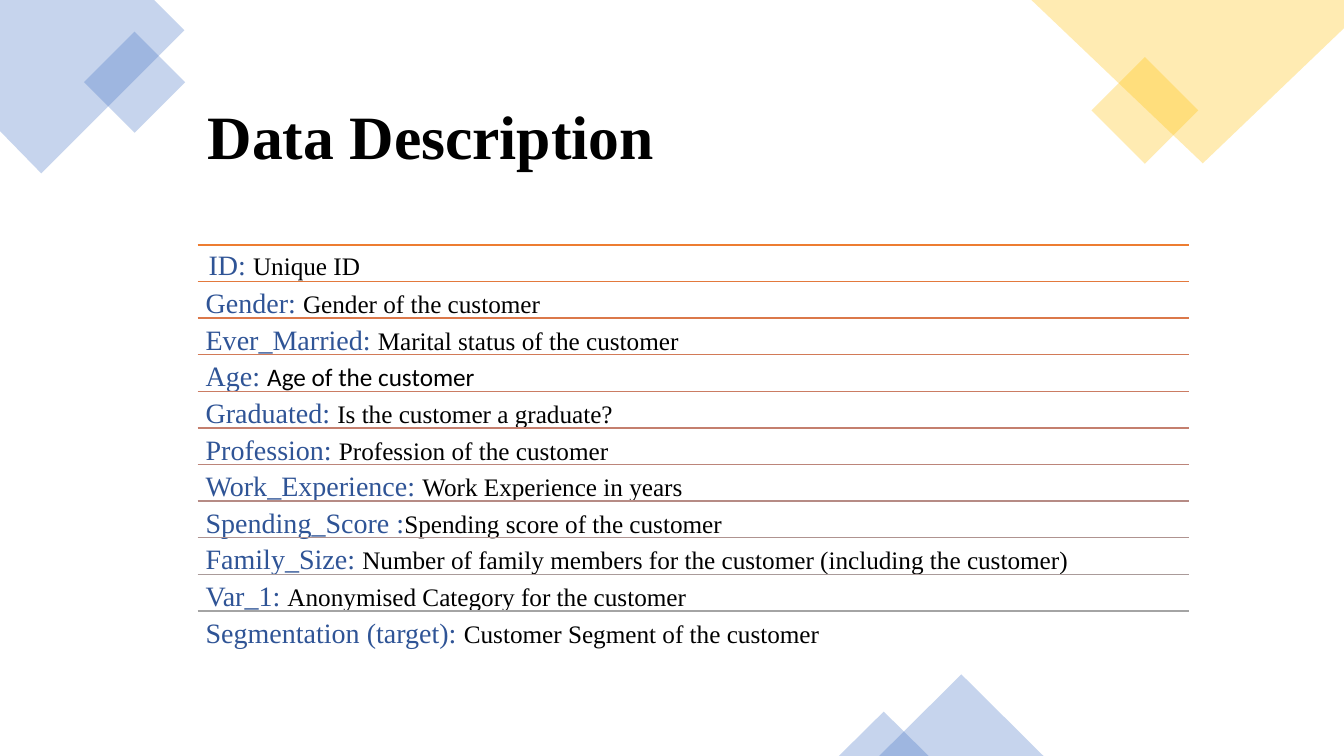
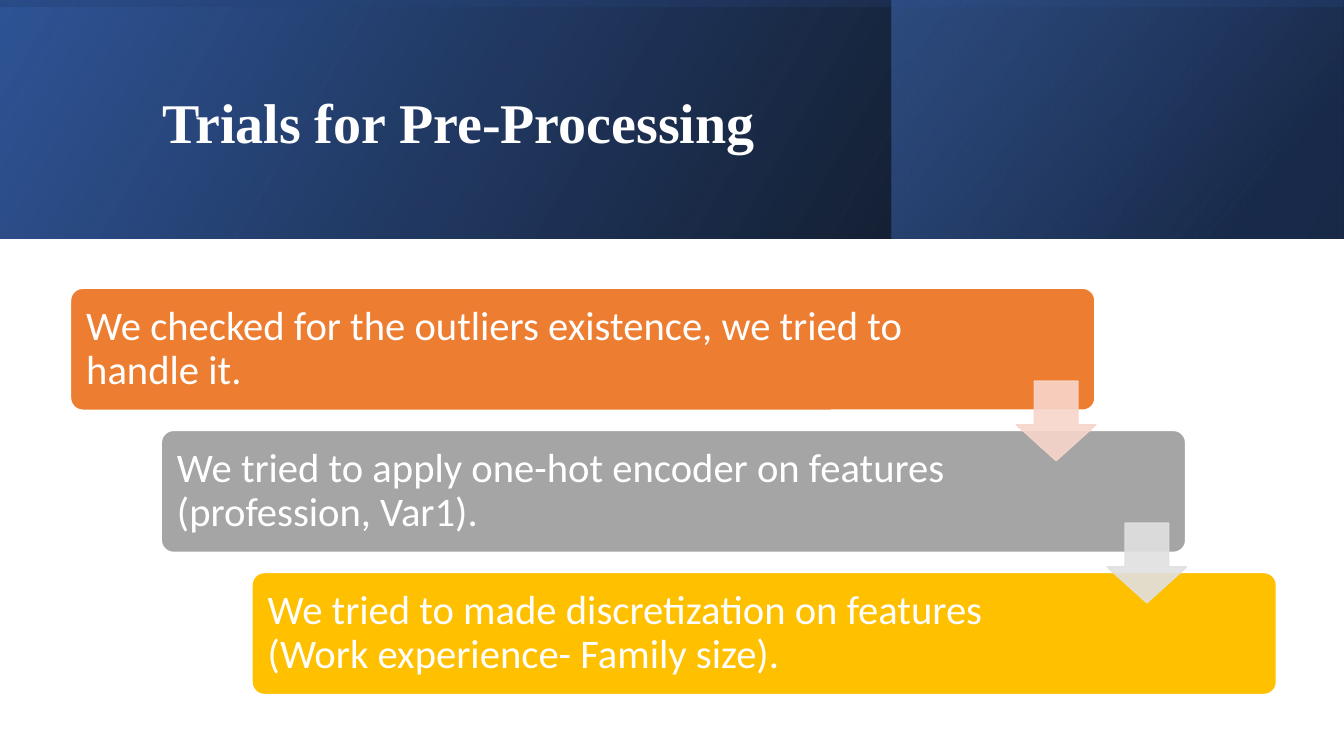
from lxml.etree import SubElement
from pptx import Presentation
from pptx.dml.color import RGBColor
from pptx.enum.shapes import MSO_CONNECTOR, MSO_SHAPE
from pptx.enum.text import MSO_ANCHOR, PP_ALIGN
from pptx.oxml.ns import qn
from pptx.util import Inches, Pt

BLACK = RGBColor(0x00, 0x00, 0x00)
WHITE = RGBColor(0xFF, 0xFF, 0xFF)
BLUE = RGBColor(0x44, 0x72, 0xC4)
DEEP_BLUE = RGBColor(0x2F, 0x54, 0x96)
NAVY = RGBColor(0x1F, 0x38, 0x64)
GOLD = RGBColor(0xFF, 0xC0, 0x00)
ORANGE = RGBColor(0xED, 0x7D, 0x31)
GREY = RGBColor(0xA5, 0xA5, 0xA5)
PALE_ORANGE = RGBColor(0xF7, 0xD5, 0xCB)
PALE_GREY = RGBColor(0xE0, 0xE0, 0xE0)
RULE_COLORS = [RGBColor.from_string(code) for code in (
    "ED7D31", "E3793D", "DB784A", "D27A57", "CB7C63", "C47F6E",
    "BC857A", "B68B85", "AF9390", "AA9B9A", "A4A4A4")]

SERIF = "Times New Roman"
SANS = "Calibri"

FIELDS = [
    ("ID: ", "Unique ID", SERIF),
    ("Gender: ", "Gender of the customer", SERIF),
    ("Ever_Married: ", "Marital status of the customer", SERIF),
    ("Age: ", "Age of the customer", SANS),
    ("Graduated: ", "Is the customer a graduate?", SERIF),
    ("Profession: ", "Profession of the customer", SERIF),
    ("Work_Experience: ", "Work Experience in years", SERIF),
    ("Spending_Score :", "Spending score of the customer", SERIF),
    ("Family_Size: ",
     "Number of family members for the customer (including the customer)", SERIF),
    ("Var_1: ", "Anonymised Category for the customer", SERIF),
    ("Segmentation (target): ", "Customer Segment of the customer", SERIF),
]

TRIALS = [
    ("We checked for the outliers existence, we tried to handle it.", ORANGE),
    ("We tried to apply one-hot encoder on features (profession, Var1).", GREY),
    ("We tried to made discretization on features "
     "(Work experience- Family size).", GOLD),
]


class Deck:
    def __init__(self):
        self.presentation = Presentation()
        self.presentation.slide_width = Inches(13.33)
        self.presentation.slide_height = Inches(7.5)
        self.slide = None

    def new_slide(self):
        blank = self.presentation.slide_layouts[6]
        self.slide = self.presentation.slides.add_slide(blank)

    def paint(self, shape, color, alpha=100, outline=None):
        """Give a shape a flat fill and outline, both with alpha in percent."""
        shape.shadow.inherit = False
        shape.fill.solid()
        shape.fill.fore_color.rgb = color
        if outline is None:
            shape.line.fill.background()
        else:
            shape.line.color.rgb = outline
            shape.line.width = Pt(1)
        if alpha < 100:
            for tint in shape._element.spPr.iter(qn("a:srgbClr")):
                SubElement(tint, qn("a:alpha"), val=str(alpha * 1000))

    def shape(self, preset, left, top, width, height, color,
              alpha=100, outline=None, rotation=0, adjustments=()):
        shape = self.slide.shapes.add_shape(
            preset, Inches(left), Inches(top), Inches(width), Inches(height))
        shape.rotation = rotation
        for index, value in enumerate(adjustments):
            shape.adjustments[index] = value
        self.paint(shape, color, alpha, outline)
        return shape

    def outline_shape(self, points, color, alpha):
        corners = [(Inches(x), Inches(y)) for x, y in points]
        builder = self.slide.shapes.build_freeform(*corners[0], scale=1.0)
        builder.add_line_segments(corners[1:], close=True)
        self.paint(builder.convert_to_shape(), color, alpha)

    def gradient_band(self, left, top, width, height, stops, angle, rotation=0):
        """Draw a mirrored rectangle; stops are (position, colour, alpha)."""
        band = self.shape(MSO_SHAPE.RECTANGLE, left, top, width, height,
                          BLACK, rotation=rotation)
        properties = band._element.spPr
        properties.find(qn("a:xfrm")).set("flipH", "1")
        solid = properties.find(qn("a:solidFill"))
        gradient = solid.makeelement(qn("a:gradFill"), {"rotWithShape": "1"})
        properties.replace(solid, gradient)
        stop_list = SubElement(gradient, qn("a:gsLst"))
        for position, color, alpha in stops:
            stop = SubElement(stop_list, qn("a:gs"), pos=str(position * 1000))
            tint = SubElement(stop, qn("a:srgbClr"), val=str(color))
            if alpha < 100:
                SubElement(tint, qn("a:alpha"), val=str(alpha * 1000))
        SubElement(gradient, qn("a:lin"), ang=str(angle * 60000), scaled="0")

    def rule(self, left, right, y, color):
        rule = self.slide.shapes.add_connector(
            MSO_CONNECTOR.STRAIGHT, Inches(left), Inches(y), Inches(right), Inches(y))
        rule.line.color.rgb = color
        rule.line.width = Pt(1)
        SubElement(rule._element.spPr, qn("a:effectLst"))

    def set_frame(self, shape, margins, anchor):
        """Apply wrapping, anchor and (left, top, right, bottom) margins."""
        frame = shape.text_frame
        frame.word_wrap = True
        frame.vertical_anchor = anchor
        (frame.margin_left, frame.margin_top,
         frame.margin_right, frame.margin_bottom) = map(Inches, margins)
        paragraph = frame.paragraphs[0]
        paragraph.alignment = PP_ALIGN.LEFT
        paragraph.line_spacing = 0.9
        return paragraph

    def style(self, font, name, size, color, bold=False):
        font.name = name
        font.size = Pt(size)
        font.color.rgb = color
        font.bold = bold

    def text_box(self, left, top, width, height, margins, anchor):
        box = self.slide.shapes.add_textbox(
            Inches(left), Inches(top), Inches(width), Inches(height))
        return self.set_frame(box, margins, anchor)

    def title(self, text, left, top, width, height, size, color):
        heading = self.text_box(left, top, width, height,
                                (0.1, 0.05, 0.1, 0.05), MSO_ANCHOR.MIDDLE)
        heading.text = text
        self.style(heading.font, SERIF, size, color, bold=True)

    def field(self, left, top, width, height, margins, name, meaning, meaning_font):
        line = self.text_box(left, top, width, height, margins, MSO_ANCHOR.TOP)
        for text, font, size, color in ((name, SERIF, 20, DEEP_BLUE),
                                        (meaning, meaning_font, 18, BLACK)):
            run = line.add_run()
            run.text = text
            self.style(run.font, font, size, color)

    def step(self, left, top, width, height, text, color):
        card = self.shape(MSO_SHAPE.ROUNDED_RECTANGLE, left, top, width, height,
                          color, outline=WHITE, adjustments=[0.1])
        paragraph = self.set_frame(card, (0.12, 0.12, 1.82, 0.12), MSO_ANCHOR.MIDDLE)
        paragraph.text = text
        self.style(paragraph.font, SANS, 29, WHITE)


def data_description(deck):
    deck.new_slide()
    deck.outline_shape([(1.53, 0), (0, 0), (0, 1.3), (0.41, 1.72), (1.83, 0.3)],
                       BLUE, 30)
    deck.shape(MSO_SHAPE.RECTANGLE, 0.98, 0.46, 0.71, 0.71, BLUE, 30, rotation=315)
    deck.shape(MSO_SHAPE.RECTANGLE, 10.98, 0.72, 0.75, 0.75, GOLD, 30, rotation=315)
    deck.outline_shape([(13.33, 0), (10.23, 0), (11.93, 1.62), (13.33, 0.28)],
                       GOLD, 30)
    deck.shape(MSO_SHAPE.ISOSCELES_TRIANGLE, 8.72, 6.69, 1.63, 0.81, BLUE, 30)
    deck.shape(MSO_SHAPE.ISOSCELES_TRIANGLE, 8.32, 7.06, 0.89, 0.44, BLUE, 30)
    deck.title("Data Description", 1.96, 0.68, 10.62, 1.4, 44, BLACK)

    left, width, first_top, last_top = 1.96, 9.83, 2.43, 6.06
    pitch = (last_top - first_top) / (len(FIELDS) - 1)
    for index, (field, color) in enumerate(zip(FIELDS, RULE_COLORS)):
        top = first_top + index * pitch
        margins = (0.08,) * 4 if index else (0.11, 0.06, 0.06, 0.06)
        deck.rule(left, left + width, top, color)
        deck.field(left, top, width, pitch, margins, *field)


def preprocessing_trials(deck):
    deck.new_slide()
    band_height = 2.37
    deck.gradient_band(0, 0, 13.33, band_height,
                       [(0, BLACK, 96), (100, DEEP_BLUE, 100)], 330)
    deck.gradient_band(8.84, 0, 4.48, band_height,
                       [(0, NAVY, 68), (19, NAVY, 68), (100, BLUE, 48)], 320)
    deck.gradient_band(5.48, -5.48, band_height, 13.33,
                       [(0, DEEP_BLUE, 16), (23, DEEP_BLUE, 16),
                        (99, BLACK, 45), (100, BLACK, 45)], 350, rotation=270)
    deck.title("Trials for Pre-Processing", 1.51, 0.38, 10.63, 1.72, 40, WHITE)

    left, top, shift, drop = 0.7, 2.86, 0.9, 1.41
    for index, (text, color) in enumerate(TRIALS):
        deck.step(left + index * shift, top + index * drop, 10.16, 1.21, text, color)
    for index, color in enumerate((PALE_ORANGE, PALE_GREY)):
        deck.shape(MSO_SHAPE.DOWN_ARROW, 10.08 + index * shift, 3.78 + index * drop,
                   0.79, 0.79, color, 90, outline=color, adjustments=[0.55, 0.45])


def main():
    deck = Deck()
    data_description(deck)
    preprocessing_trials(deck)
    deck.presentation.save("out.pptx")


if __name__ == "__main__":
    main()
